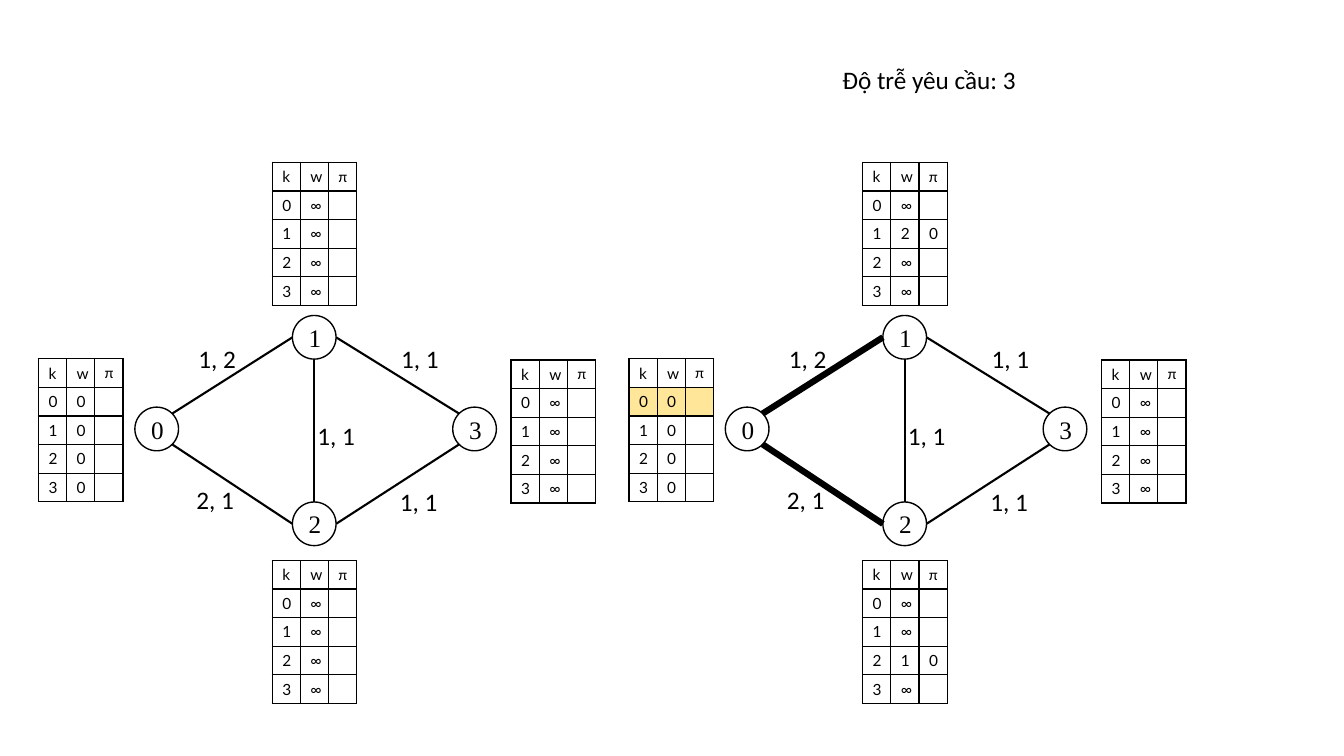
from lxml.etree import SubElement
from pptx import Presentation
from pptx.dml.color import RGBColor
from pptx.enum.shapes import MSO_CONNECTOR as CONNECTOR, MSO_SHAPE as SHAPE
from pptx.enum.text import MSO_ANCHOR as ANCHOR, MSO_AUTO_SIZE as AUTO_SIZE, PP_ALIGN as ALIGN
from pptx.oxml.ns import qn
from pptx.util import Cm, Pt

BLACK = "000000"
WHITE = "FFFFFF"
HIGHLIGHT = "FFE699"
NODE_SIZE = 1.1
COLUMN_WIDTH = 0.71
ROW_HEIGHT = 0.72

NODES = [(2.43, 6.17), (6.4, 3.86), (6.4, 8.56), (10.44, 6.17)]
TABLES = [(0, 4.95), (5.89, 0), (5.89, 10.03), (11.91, 4.98)]
SITES = {
    "top": (0.5, 0), "bottom": (0.5, 1), "left": (0, 0.5), "right": (1, 0.5),
    "top left": (0.15, 0.15), "top right": (0.85, 0.15),
    "bottom left": (0.15, 0.85), "bottom right": (0.85, 0.85),
}
EDGES = [
    (0, "top right", 1, "left", "1, 2", (3.78, 4.44)),
    (0, "bottom right", 2, "left", "2, 1", (3.73, 8)),
    (1, "right", 3, "top left", "1, 1", (8.89, 4.44)),
    (2, "right", 3, "bottom left", "1, 1", (8.86, 8.05)),
    (1, "bottom", 2, "top", "1, 1", (6.78, 6.37)),
]


def color(value):
    return RGBColor.from_string(value)


def style(paragraph, name, size):
    for span in paragraph.runs:
        span.font.name = name
        span.font.size = Pt(size)
        span.font.color.rgb = color(BLACK)


def add_label(page, left, top, width, text):
    box = page.shapes.add_textbox(Cm(left), Cm(top), Cm(width), Cm(1.02))
    frame = box.text_frame
    frame.word_wrap = False
    frame.auto_size = AUTO_SIZE.SHAPE_TO_FIT_TEXT
    frame.text = text
    style(frame.paragraphs[0], "Calibri", 18)


def add_node(page, left, top, text):
    node = page.shapes.add_shape(SHAPE.OVAL, Cm(left), Cm(top), Cm(NODE_SIZE), Cm(NODE_SIZE))
    node.shadow.inherit = False
    node.fill.solid()
    node.fill.fore_color.rgb = color(WHITE)
    node.line.color.rgb = color(BLACK)
    node.line.width = Pt(1)
    frame = node.text_frame
    frame.vertical_anchor = ANCHOR.MIDDLE
    frame.text = text
    para = frame.paragraphs[0]
    para.alignment = ALIGN.CENTER
    style(para, "Times New Roman", 18)


def add_edge(page, start, end, weight):
    edge = page.shapes.add_connector(CONNECTOR.STRAIGHT, *map(Cm, start + end))
    edge.line.color.rgb = color(BLACK)
    edge.line.width = Pt(weight)
    SubElement(edge._element.spPr, qn("a:effectLst"))


def add_borders(cell):
    properties = cell._tc.get_or_add_tcPr()
    for side in ("a:lnL", "a:lnR", "a:lnT", "a:lnB"):
        line = SubElement(properties, qn(side), w=str(Pt(1)))
        fill = SubElement(line, qn("a:solidFill"))
        SubElement(fill, qn("a:srgbClr"), val=BLACK)


def fill_cell(cell, text, background):
    add_borders(cell)
    if background:
        cell.fill.solid()
        cell.fill.fore_color.rgb = color(background)
    else:
        cell.fill.background()
    para = cell.text_frame.paragraphs[0]
    if text:
        para.text = text
        style(para, "Calibri" if text == "π" else "Lato", 11)
    else:
        SubElement(para._p, qn("a:endParaRPr"), sz="1100")


def add_state_table(page, left, top, weights, parents, highlighted):
    rows = [("k", "w", "π")]
    rows += [(str(k), weight, parents.get(k, "")) for k, weight in enumerate(weights)]
    frame = page.shapes.add_table(len(rows), 3, Cm(left), Cm(top),
                                  Cm(3 * COLUMN_WIDTH), Cm(len(rows) * ROW_HEIGHT))
    table = frame.table
    table.first_row = False
    table.horz_banding = False
    for column in table.columns:
        column.width = Cm(COLUMN_WIDTH)
    for r, values in enumerate(rows):
        table.rows[r].height = Cm(ROW_HEIGHT)
        background = HIGHLIGHT if r - 1 == highlighted else None
        for c, text in enumerate(values):
            fill_cell(table.cell(r, c), text, background)


def add_graph(page, left, top, states, bold_edges=(), highlights={}):
    def site_point(node, site):
        x, y = NODES[node]
        across, down = SITES[site]
        return left + x + across * NODE_SIZE, top + y + down * NODE_SIZE

    for number, (x, y) in enumerate(NODES):
        add_node(page, left + x, top + y, str(number))
    for source, exit_site, target, entry_site, text, (x, y) in EDGES:
        weight = 4.5 if (source, target) in bold_edges else 1.5
        add_edge(page, site_point(source, exit_site), site_point(target, entry_site), weight)
        add_label(page, left + x, top + y, 1.47, text)
    for number, ((x, y), (weights, parents)) in enumerate(zip(TABLES, states)):
        add_state_table(page, left + x, top + y, weights, parents, highlights.get(number))


def main():
    deck = Presentation()
    deck.slide_width, deck.slide_height = Cm(33.87), Cm(19.05)
    page = deck.slides.add_slide(deck.slide_layouts[6])
    start, unreached = ("0000", {}), ("∞∞∞∞", {})
    add_label(page, 20.98, 1.5, 4.93, "Độ trễ yêu cầu: 3")
    add_graph(page, 0.97, 4.09, [start, unreached, unreached, unreached])
    add_graph(page, 15.85, 4.09,
              [start, ("∞2∞∞", {1: "0"}), ("∞∞1∞", {2: "0"}), unreached],
              bold_edges=[(0, 1), (0, 2)], highlights={0: 0})
    deck.save("out.pptx")


if __name__ == "__main__":
    main()
